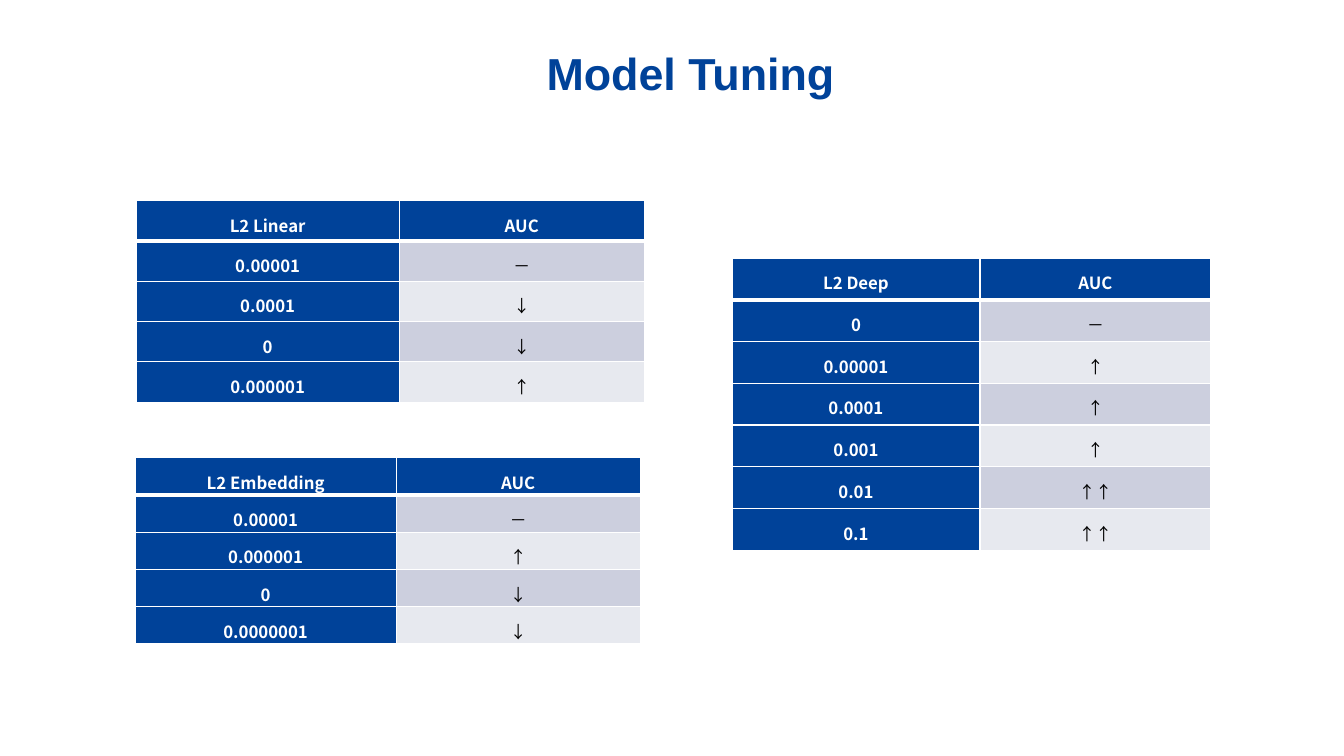
from lxml import etree
from pptx import Presentation
from pptx.dml.color import RGBColor
from pptx.enum import text
from pptx.oxml import ns
from pptx.util import Inches, Pt

BLUE = "004299"
WHITE = "FFFFFF"
BLACK = "000000"
BANDS = ("CCCFDE", "E7E9EF")
TABLE_FONT = "Noto Sans CJK SC"


def color(value):
    return RGBColor.from_string(value)


def style_paragraph(paragraph, font_name, size, font_color, bold):
    paragraph.alignment = text.PP_ALIGN.CENTER
    font = paragraph.font
    font.name = font_name
    font.size = Pt(size)
    font.bold = bold
    font.color.rgb = color(font_color)


def add_title(slide, content):
    shape = slide.shapes.add_textbox(Inches(4.4), Inches(0.4), Inches(4.9), Inches(0.64))
    frame = shape.text_frame
    frame.word_wrap = True
    frame.auto_size = text.MSO_AUTO_SIZE.SHAPE_TO_FIT_TEXT
    frame.text = content
    style_paragraph(frame.paragraphs[0], "Arial", 32, BLUE, True)


def add_border(cell, side, width):
    properties = cell._tc.get_or_add_tcPr()
    line = etree.SubElement(properties, ns.qn(f"a:ln{side}"), w=str(Pt(width)))
    fill = etree.SubElement(line, ns.qn("a:solidFill"))
    etree.SubElement(fill, ns.qn("a:srgbClr"), val=WHITE)


def fill_cell(cell, content, row, column):
    is_heading = row == 0 or column == 0
    widths = {"L": 1, "R": 1, "T": 3 if row == 1 else 1, "B": 3 if row == 0 else 1}
    for side, width in widths.items():
        add_border(cell, side, width)
    cell.fill.solid()
    cell.fill.fore_color.rgb = color(BLUE if is_heading else BANDS[(row - 1) % 2])
    cell.margin_left = cell.margin_right = Inches(0.07)
    cell.margin_top = cell.margin_bottom = 0
    cell.vertical_anchor = text.MSO_ANCHOR.TOP
    cell.text = content
    paragraph = cell.text_frame.paragraphs[0]
    paragraph.line_spacing = 1.5
    style_paragraph(paragraph, TABLE_FONT, 12, WHITE if is_heading else BLACK, is_heading)
    latin = paragraph.font._element.find(ns.qn("a:latin"))
    latin.addnext(latin.makeelement(ns.qn("a:ea"), typeface=TABLE_FONT))


def add_tuning_table(slide, left, top, column_widths, height, parameter, results):
    rows = [(parameter, "AUC"), *results]
    shape = slide.shapes.add_table(
        len(rows), 2, Inches(left), Inches(top), Inches(sum(column_widths)), Inches(height)
    )
    table = shape.table
    for column, width in zip(table.columns, column_widths):
        column.width = Inches(width)
    for row_index, values in enumerate(rows):
        for column_index, value in enumerate(values):
            fill_cell(table.cell(row_index, column_index), value, row_index, column_index)


def main():
    presentation = Presentation()
    presentation.slide_width = Inches(13.33)
    presentation.slide_height = Inches(7.5)
    slide = presentation.slides.add_slide(presentation.slide_layouts[6])
    add_title(slide, "Model Tuning")
    add_tuning_table(
        slide, 1.35, 1.99, (2.61, 2.43), 2, "L2 Linear",
        [("0.00001", "－"), ("0.0001", "↓"), ("0", "↓"), ("0.000001", "↑")],
    )
    add_tuning_table(
        slide, 1.34, 4.54, (2.59, 2.42), 1.85, "L2 Embedding",
        [("0.00001", "－"), ("0.000001", "↑"), ("0", "↓"), ("0.0000001", "↓")],
    )
    add_tuning_table(
        slide, 7.26, 2.56, (2.46, 2.29), 2.9, "L2 Deep",
        [("0", "－"), ("0.00001", "↑"), ("0.0001", "↑"), ("0.001", "↑"),
         ("0.01", "↑↑"), ("0.1", "↑↑")],
    )
    presentation.save("out.pptx")


if __name__ == "__main__":
    main()
